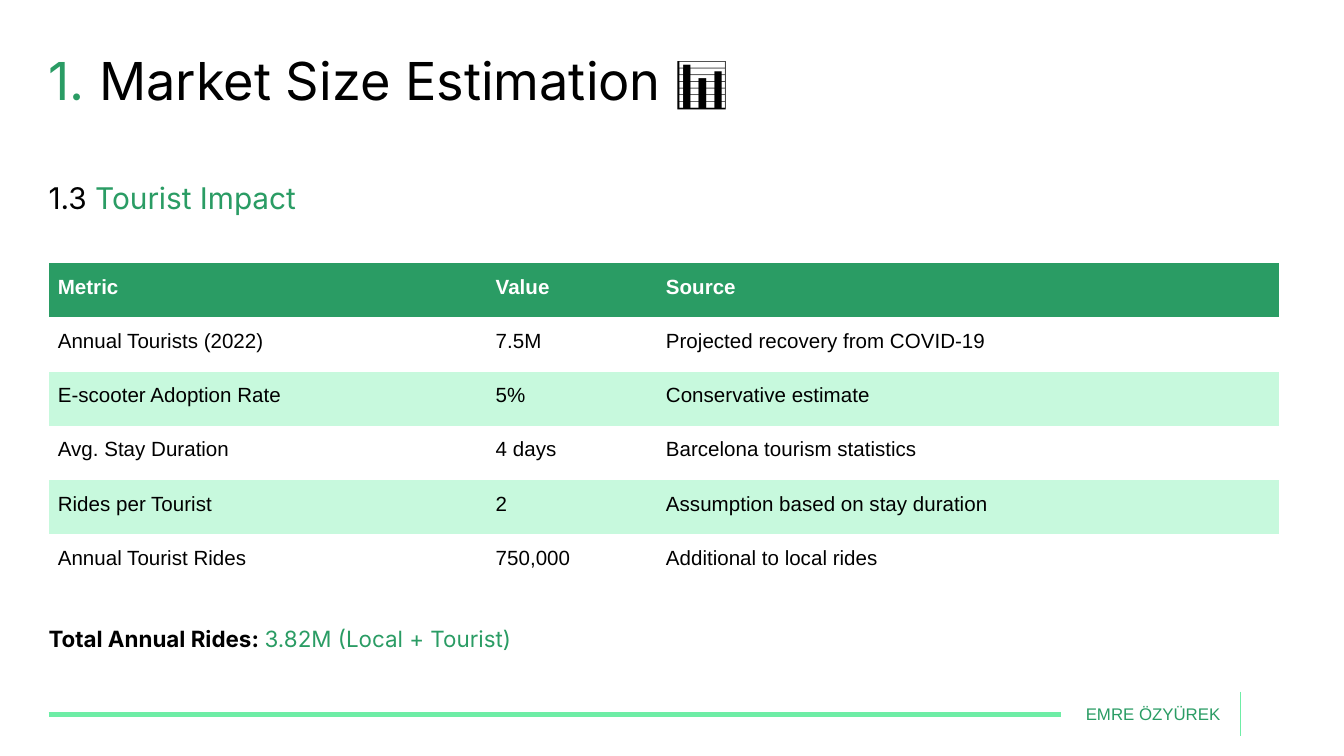
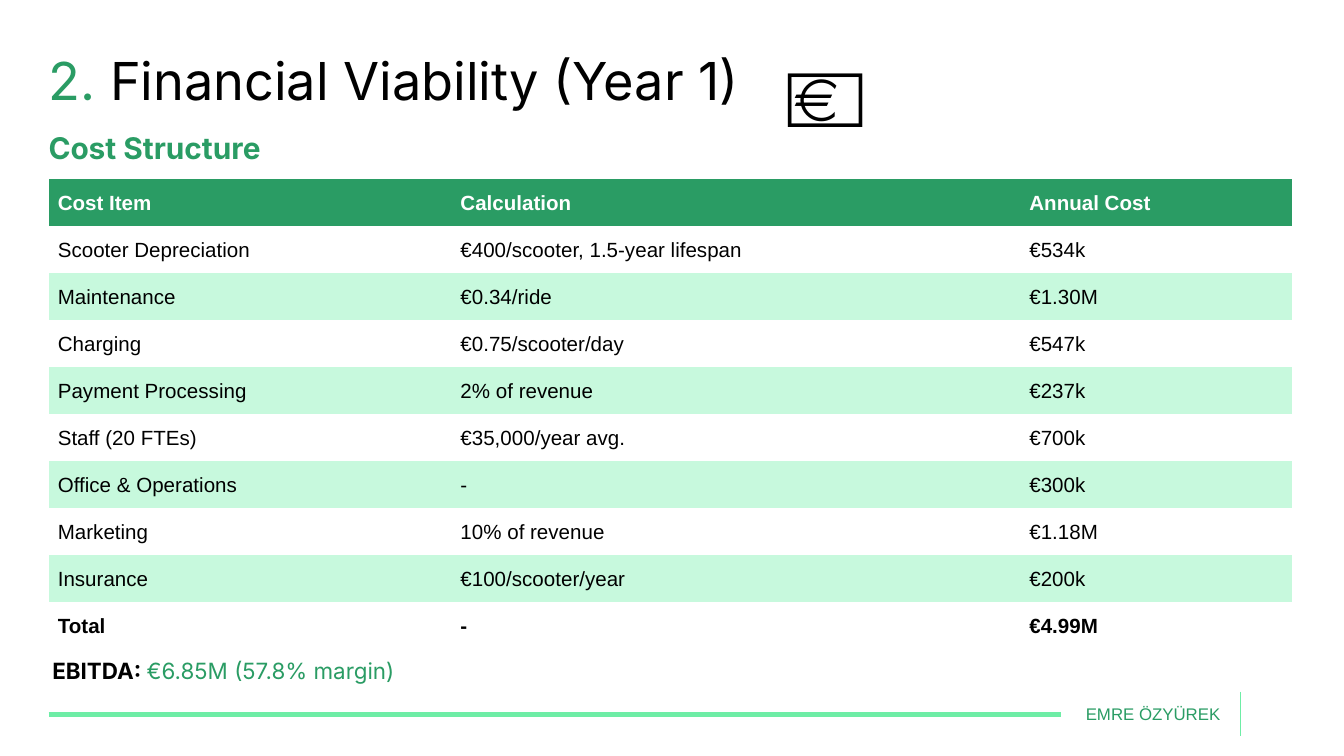
from lxml import etree
from pptx import Presentation, util as u
from pptx.dml.color import RGBColor
from pptx.enum import shapes, text
from pptx.oxml.ns import qn

Pt = u.Pt

# Content
AUTHOR = "EMRE ÖZYÜREK"

TOURIST_IMPACT = [
    ("Metric", "Value", "Source"),
    ("Annual Tourists (2022)", "7.5M", "Projected recovery from COVID-19"),
    ("E-scooter Adoption Rate", "5%", "Conservative estimate"),
    ("Avg. Stay Duration", "4 days", "Barcelona tourism statistics"),
    ("Rides per Tourist", "2", "Assumption based on stay duration"),
    ("Annual Tourist Rides", "750,000", "Additional to local rides"),
]

COST_STRUCTURE = [
    ("Cost Item", "Calculation", "Annual Cost"),
    ("Scooter Depreciation", "€400/scooter, 1.5-year lifespan", "€534k"),
    ("Maintenance", "€0.34/ride", "€1.30M"),
    ("Charging", "€0.75/scooter/day", "€547k"),
    ("Payment Processing", "2% of revenue", "€237k"),
    ("Staff (20 FTEs)", "€35,000/year avg.", "€700k"),
    ("Office & Operations", "-", "€300k"),
    ("Marketing", "10% of revenue", "€1.18M"),
    ("Insurance", "€100/scooter/year", "€200k"),
    ("Total", "-", "€4.99M"),
]

# Runs are (text, colour name, bold); boxes are (left, top, width, height)
PAGES = [
    dict(
        title=[("1. ", "green", False), ("Market Size Estimation 📊", "black", False)],
        title_width=398,
        subtitle=[("1.3", "black", False), (" Tourist Impact", "green", False)],
        subtitle_top=96.5,
        rows=TOURIST_IMPACT, table_top=141, columns=(234.6, 91.2, 333.6), row_height=29.04,
        result=[("Total Annual Rides: ", "black", True),
                ("3.82M (Local + Tourist)", "green", False)],
        result_at=(26, 334.8),
    ),
    dict(
        title=[("2. ", "green", False), ("Financial Viability (Year 1)", "black", False)],
        title_width=433.4,
        subtitle=[("Cost Structure", "green", True)],
        subtitle_top=69.5,
        rows=COST_STRUCTURE, table_top=96, columns=(215.7, 304.8, 145.7), row_height=25.18,
        total_row=True,
        result=[("EBITDA: ", "black", True), ("€6.85M (57.8% margin)", "green", False)],
        result_at=(28, 352),
        icon="💶", icon_box=(413.3, 20.9, 467.3, 60.5),
    ),
]

# Shared look
COLORS = {"green": "2A9C64", "line": "6EEDA6", "band": "C7F9DD",
          "black": "000000", "white": "FFFFFF"}
HEADING_FONT, BODY_FONT = "Inter", "Arial"
MARGIN = 26
CELL_INSET = 5
PLAIN_TABLE_STYLE = "{2D5ABB26-0587-4C30-8999-92F81FD0307C}"


def color(name):
    return RGBColor.from_string(COLORS[name])


def add_runs(para, runs, size, font):
    for content, color_name, bold in runs:
        span = para.add_run()
        span.text = content
        span.font.size = Pt(size)
        span.font.name = font
        span.font.bold = bold
        span.font.color.rgb = color(color_name)


def fill_box(box, position, runs, size, font, inset=True):
    box.left, box.top, box.width, box.height = map(Pt, position)
    frame = box.text_frame
    frame.word_wrap = True
    frame.auto_size = text.MSO_AUTO_SIZE.SHAPE_TO_FIT_TEXT
    frame.vertical_anchor = text.MSO_ANCHOR.TOP
    if not inset:
        frame.margin_left = frame.margin_right = frame.margin_top = frame.margin_bottom = 0
    para = frame.paragraphs[0]
    para.alignment = text.PP_ALIGN.LEFT
    add_runs(para, runs, size, font)


def add_text(page, position, runs, size, font, inset=True):
    box = page.shapes.add_textbox(0, 0, 0, 0)
    fill_box(box, position, runs, size, font, inset)


def add_line(page, start, end, width):
    line = page.shapes.add_connector(shapes.MSO_CONNECTOR.STRAIGHT, *map(Pt, start + end))
    line.line.color.rgb = color("line")
    line.line.width = Pt(width)
    etree.SubElement(line._element.spPr, qn("a:effectLst"))


def add_footer(page):
    add_text(page, (574.6, 373.5, 360, 18), [(AUTHOR, "green", False)], 9, BODY_FONT)
    add_line(page, (664.6, 370.7), (664.6, 394.5), 0.75)
    add_line(page, (MARGIN, 382.8), (568.3, 382.8), 2.25)


def add_table(page, rows, top, columns, row_height, total_row):
    frame = page.shapes.add_table(len(rows), len(columns), Pt(MARGIN), Pt(top),
                                  Pt(sum(columns)), Pt(row_height * len(rows)))
    table = frame.table
    table.horz_banding = False
    table._tbl.tblPr.find(qn("a:tableStyleId")).text = PLAIN_TABLE_STYLE
    for column, width in zip(table.columns, columns):
        column.width = Pt(width)
    for r, values in enumerate(rows):
        table.rows[r].height = Pt(row_height)
        header = r == 0
        bold = header or (total_row and r == len(rows) - 1)
        for c, value in enumerate(values):
            cell = table.cell(r, c)
            cell.margin_left = cell.margin_right = Pt(CELL_INSET)
            cell.margin_top = cell.margin_bottom = Pt(CELL_INSET)
            if header or r % 2 == 0:
                cell.fill.solid()
                cell.fill.fore_color.rgb = color("green" if header else "band")
            else:
                cell.fill.background()
            para = cell.text_frame.paragraphs[0]
            para.line_spacing = 1.15
            add_runs(para, [(value, "white" if header else "black", bold)], 11, BODY_FONT)


def build_page(deck, content):
    page = deck.slides.add_slide(deck.slide_layouts[5])
    # Headings
    fill_box(page.shapes.title, (MARGIN, 26, content["title_width"], 34),
             content["title"], 28, HEADING_FONT, inset=False)
    add_text(page, (MARGIN, content["subtitle_top"], 334, 19.4),
             content["subtitle"], 16, HEADING_FONT, inset=False)
    add_footer(page)
    if "icon" in content:
        add_text(page, content["icon_box"], [(content["icon"], "black", False)], 44, BODY_FONT)
    # Table and the result below it
    add_table(page, content["rows"], content["table_top"], content["columns"],
              content["row_height"], content.get("total_row", False))
    add_text(page, content["result_at"] + (334, 14.5),
             content["result"], 12, HEADING_FONT, inset=False)


def main():
    deck = Presentation()
    deck.slide_width, deck.slide_height = Pt(720), Pt(405)
    for content in PAGES:
        build_page(deck, content)
    deck.save("out.pptx")


if __name__ == "__main__":
    main()
